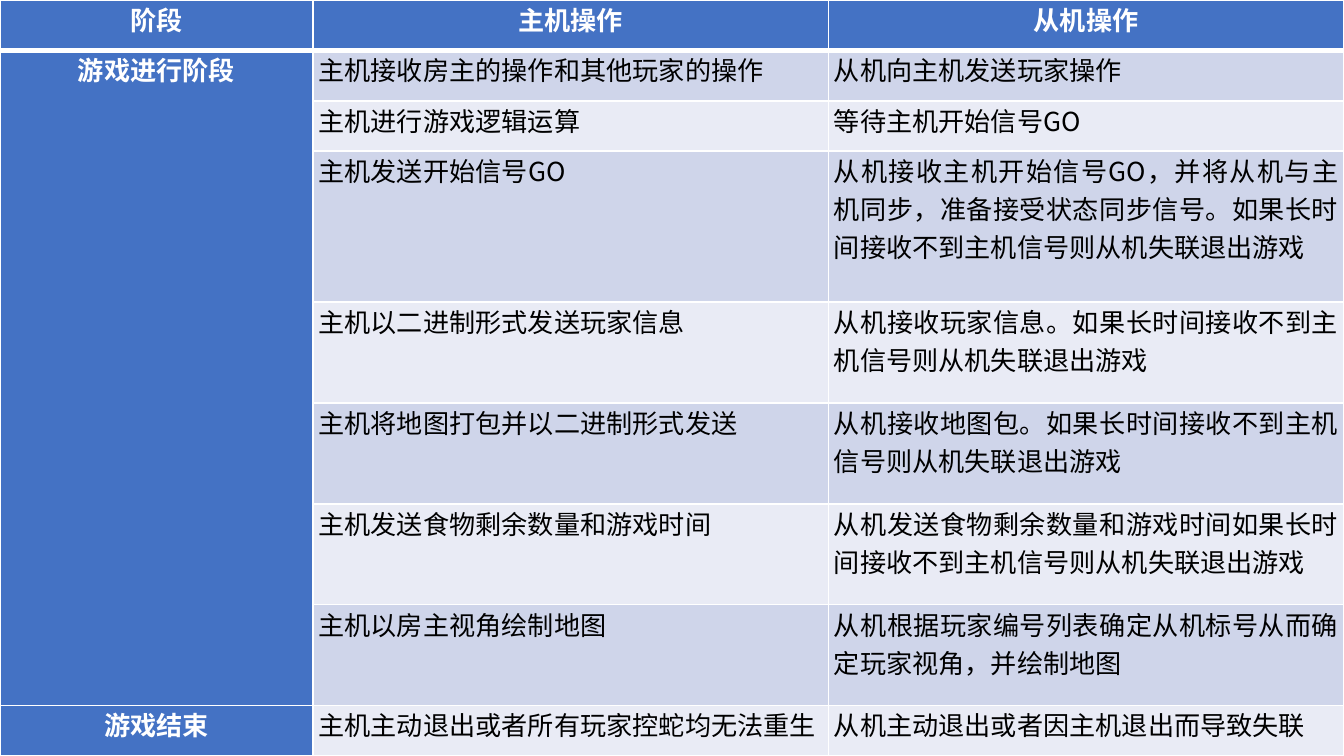
from dataclasses import dataclass

from lxml import etree
from pptx import Presentation
from pptx.dml.color import RGBColor
from pptx.enum.text import MSO_ANCHOR, PP_ALIGN
from pptx.oxml.ns import qn
from pptx.table import Table, _Cell
from pptx.util import Inches, Pt

CENTER = PP_ALIGN.CENTER
JUSTIFY = PP_ALIGN.JUSTIFY
TOP = MSO_ANCHOR.TOP


@dataclass(frozen=True)
class Theme:
    font: str = "Noto Sans CJK SC"
    size: float = 14
    accent: str = "4472C4"
    band_dark: str = "CFD5EA"
    band_light: str = "E9EBF5"
    light_text: str = "FFFFFF"
    dark_text: str = "000000"
    border: str = "FFFFFF"
    thin: float = 1
    thick: float = 3


@dataclass(frozen=True)
class Step:
    host: str
    client: str
    lines: int = 1
    stage: str = ""


THEME = Theme()
PAGE_WIDTH = Inches(10)
PAGE_HEIGHT = PAGE_WIDTH * 9 // 16
STAGE_WIDTH = Inches(2.33)
SIDE_MARGIN = Inches(0.04)

STEPS = [
    Step("主机操作", "从机操作", stage="阶段"),
    Step("主机接收房主的操作和其他玩家的操作", "从机向主机发送玩家操作", stage="游戏进行阶段"),
    Step("主机进行游戏逻辑运算", "等待主机开始信号GO"),
    Step(
        "主机发送开始信号GO",
        "从机接收主机开始信号GO，并将从机与主机同步，准备接受状态同步信号。"
        "如果长时间接收不到主机信号则从机失联退出游戏",
        lines=3,
    ),
    Step(
        "主机以二进制形式发送玩家信息",
        "从机接收玩家信息。如果长时间接收不到主机信号则从机失联退出游戏",
        lines=2,
    ),
    Step(
        "主机将地图打包并以二进制形式发送",
        "从机接收地图包。如果长时间接收不到主机信号则从机失联退出游戏",
        lines=2,
    ),
    Step(
        "主机发送食物剩余数量和游戏时间",
        "从机发送食物剩余数量和游戏时间如果长时间接收不到主机信号则从机失联退出游戏",
        lines=2,
    ),
    Step(
        "主机以房主视角绘制地图",
        "从机根据玩家编号列表确定从机标号从而确定玩家视角，并绘制地图",
        lines=2,
    ),
    Step(
        "主机主动退出或者所有玩家控蛇均无法重生",
        "从机主动退出或者因主机退出而导致失联",
        stage="游戏结束",
    ),
]


def write_text(cell: _Cell, text: str, *, color: str, bold: bool, align: PP_ALIGN) -> None:
    para = cell.text_frame.paragraphs[0]
    para.alignment = align
    span = para.add_run()
    span.text = text
    span.font.name = THEME.font
    span.font.size = Pt(THEME.size)
    span.font.bold = bold
    span.font.color.rgb = RGBColor.from_string(color)
    east_asian = etree.SubElement(span.font._element, qn("a:ea"))
    east_asian.set("typeface", THEME.font)


def draw_borders(cell: _Cell, *, top: float, bottom: float) -> None:
    properties = cell._tc.get_or_add_tcPr()
    widths = {"L": THEME.thin, "R": THEME.thin, "T": top, "B": bottom}
    for side, width in widths.items():
        line = etree.SubElement(properties, qn(f"a:ln{side}"), w=str(Pt(width)))
        fill = etree.SubElement(line, qn("a:solidFill"))
        etree.SubElement(fill, qn("a:srgbClr"), val=THEME.border)


def style_cell(cell: _Cell, row: int, *, fill: str) -> None:
    draw_borders(
        cell,
        top=THEME.thick if row == 1 else THEME.thin,
        bottom=THEME.thick if row == 0 else THEME.thin,
    )
    cell.fill.solid()
    cell.fill.fore_color.rgb = RGBColor.from_string(fill)
    cell.margin_left = cell.margin_right = SIDE_MARGIN
    cell.margin_top = cell.margin_bottom = 0
    cell.vertical_anchor = TOP


def fill_row(table: Table, row: int, step: Step) -> None:
    band = THEME.band_dark if row % 2 else THEME.band_light
    for column, text in enumerate((step.stage, step.host, step.client)):
        heading = row == 0 or column == 0
        cell = table.cell(row, column)
        style_cell(cell, row, fill=THEME.accent if heading else band)
        if text:
            write_text(
                cell,
                text,
                color=THEME.light_text if heading else THEME.dark_text,
                bold=heading,
                align=CENTER if heading else JUSTIFY,
            )


def main() -> None:
    deck = Presentation()
    deck.slide_width = PAGE_WIDTH
    deck.slide_height = PAGE_HEIGHT
    page = deck.slides.add_slide(deck.slide_layouts[6])

    table = page.shapes.add_table(len(STEPS), 3, 0, 0, PAGE_WIDTH, PAGE_HEIGHT).table
    action_width = (PAGE_WIDTH - STAGE_WIDTH) // 2
    for column, width in zip(table.columns, (STAGE_WIDTH, action_width, action_width)):
        column.width = width

    line_height = PAGE_HEIGHT // sum(step.lines for step in STEPS)
    for row, step in enumerate(STEPS):
        table.rows[row].height = line_height * step.lines
        fill_row(table, row, step)
    table.cell(1, 0).merge(table.cell(len(STEPS) - 2, 0))

    deck.save("out.pptx")


if __name__ == "__main__":
    main()
